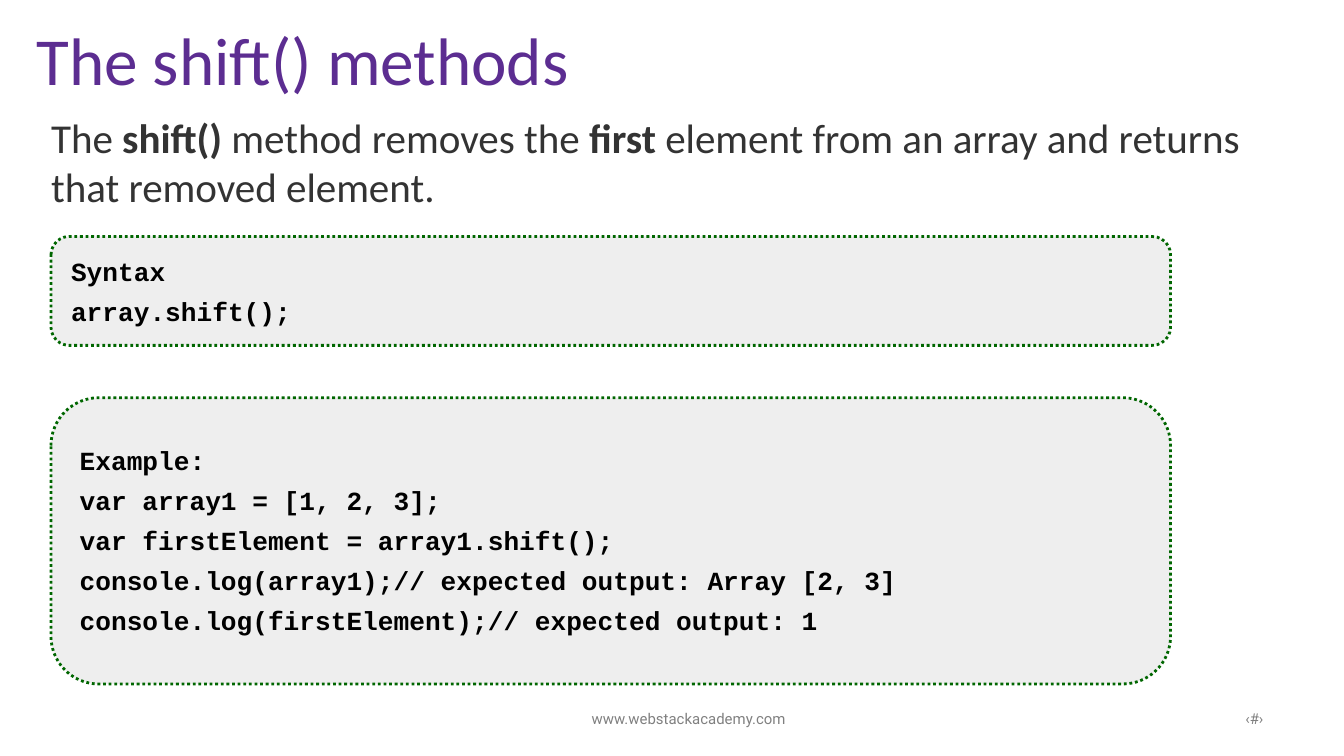
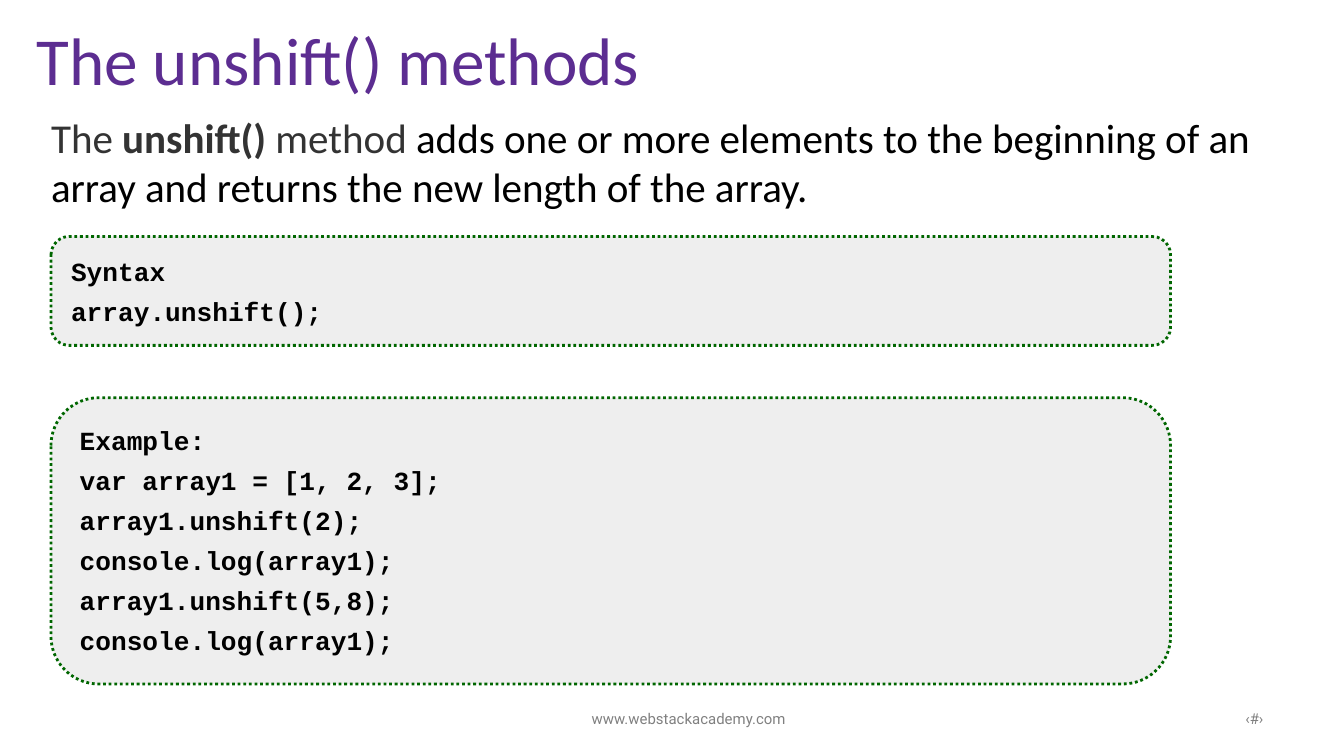
from dataclasses import dataclass

from pptx import Presentation
from pptx.dml.color import RGBColor as RGB
from pptx.enum.dml import MSO_LINE
from pptx.enum.shapes import MSO_SHAPE as SHAPE
from pptx.enum.text import MSO_ANCHOR as ANCHOR, MSO_AUTO_SIZE as AUTO, PP_ALIGN as ALIGN
from pptx.util import Inches, Pt


@dataclass(frozen=True)
class Theme:
    title: str = "5C2D91"
    lead: str = "333333"
    code: str = "000000"
    footer: str = "808080"
    panel: str = "EEEEEE"
    border: str = "006600"
    paper: str = "FFFFFF"
    text_font: str = "Calibri"
    code_font: str = "Courier New"
    footer_font: str = "Roboto"
    title_pt: int = 36
    lead_pt: int = 22
    code_pt: int = 14
    footer_pt: int = 8
    line_spacing: float = 0.93


T = Theme()

# Content: each lead line is a list of (text, bold, colour) runs
SLIDES = [
    {
        "title": "The shift() methods",
        "lead": [
            [("The ", False, T.lead), ("shift()", True, T.lead),
             (" method removes the ", False, T.lead), ("first", True, T.lead),
             (" element from an array and returns", False, T.lead)],
            [("that removed element.", False, T.lead)],
        ],
        "syntax": ["Syntax", "array.shift();"],
        "example": [
            "Example:",
            "var array1 = [1, 2, 3];",
            "var firstElement = array1.shift();",
            "console.log(array1);// expected output: Array [2, 3]",
            "console.log(firstElement);// expected output: 1",
        ],
    },
    {
        "title": "The unshift() methods",
        "lead": [
            [("The ", False, T.lead), ("unshift()", True, T.lead),
             (" method ", False, T.lead),
             ("adds one or more elements to the beginning of an", False, T.code)],
            [("array and returns the new length of the array.", False, T.code)],
        ],
        "syntax": ["Syntax", "array.unshift();"],
        "example": [
            "Example:",
            "var array1 = [1, 2, 3];",
            "array1.unshift(2);",
            "console.log(array1);",
            "array1.unshift(5,8);",
            "console.log(array1);",
        ],
    },
]
FOOTERS = [  # left edge, alignment, text
    (4, ALIGN.CENTER, "www.webstackacademy.com"),
    (7.25, ALIGN.RIGHT, "‹#›"),
]

# Layout in inches: left, top, width, height
WIDTH = 10
HEIGHT = WIDTH * 9 / 16
MARGIN = 0.38
TITLE_BOX = (0.27, -0.02, 9, 0.94)
LEAD_BOX = (MARGIN, 0.83, 9.11, 0.74)
SYNTAX_BOX = (MARGIN, 1.76, 8.33, 0.81)
EXAMPLE_BOX = (MARGIN, 2.96, 8.33, 2.13)
FOOTER_TOP, FOOTER_SIZE = 5.23, (2.25, 0.23)


def inches(box):
    return [Inches(v) for v in box]


def set_frame(tf, margins, anchor=ANCHOR.MIDDLE):
    tf.word_wrap, tf.auto_size, tf.vertical_anchor = True, AUTO.NONE, anchor
    (tf.margin_left, tf.margin_top,
     tf.margin_right, tf.margin_bottom) = inches(margins)


def set_font(font, name, size, color, bold=False):
    font.name, font.size, font.bold = name, Pt(size), bold
    font.color.rgb = RGB.from_string(color)


def fill(sp, color):
    sp.fill.solid()
    sp.fill.fore_color.rgb = RGB.from_string(color)


def paragraphs(tf, items):
    """Yield one paragraph of the frame for each item."""
    for i, item in enumerate(items):
        yield (tf.add_paragraph() if i else tf.paragraphs[0]), item


def add_title(s, text):
    sp = s.shapes.title
    sp.left, sp.top, sp.width, sp.height = inches(TITLE_BOX)
    tf = sp.text_frame
    tf.text = text
    set_frame(tf, (0, 0.04, 0, 0))
    p = tf.paragraphs[0]
    p.alignment, p.line_spacing = ALIGN.LEFT, T.line_spacing
    set_font(p.font, T.text_font, T.title_pt, T.title)


def add_lead(s, lines):
    sp = s.shapes.add_textbox(*inches(LEAD_BOX))
    fill(sp, T.paper)
    set_frame(sp.text_frame, (0, 0, 0, 0))
    for p, runs in paragraphs(sp.text_frame, lines):
        for text, bold, color in runs:
            r = p.add_run()
            r.text = text
            set_font(r.font, T.text_font, T.lead_pt, color, bold)


def add_code_panel(s, box, lines):
    sp = s.shapes.add_shape(SHAPE.ROUNDED_RECTANGLE, *inches(box))
    sp.adjustments[0] = 0.167
    sp.shadow.inherit = False
    fill(sp, T.panel)
    sp.line.color.rgb = RGB.from_string(T.border)
    sp.line.width, sp.line.dash_style = Pt(1.5), MSO_LINE.ROUND_DOT
    set_frame(sp.text_frame, (0.11, 0.08, 0.11, 0.06))
    for p, line in paragraphs(sp.text_frame, lines):
        p.text = line
        p.alignment, p.line_spacing, p.space_after = ALIGN.LEFT, T.line_spacing, Pt(5.8)
        set_font(p.font, T.code_font, T.code_pt, T.code, True)


def add_footers(s):
    for left, align, text in FOOTERS:
        sp = s.shapes.add_textbox(*inches((left, FOOTER_TOP, *FOOTER_SIZE)))
        set_frame(sp.text_frame, (0.1, 0.05, 0.1, 0.05), ANCHOR.TOP)
        p = sp.text_frame.paragraphs[0]
        p.text, p.alignment = text, align
        set_font(p.font, T.footer_font, T.footer_pt, T.footer)


def main():
    prs = Presentation()
    prs.slide_width, prs.slide_height = Inches(WIDTH), Inches(HEIGHT)
    title_only = prs.slide_layouts.get_by_name("Title Only")
    for content in SLIDES:
        s = prs.slides.add_slide(title_only)
        add_footers(s)
        add_title(s, content["title"])
        add_code_panel(s, EXAMPLE_BOX, content["example"])
        add_lead(s, content["lead"])
        add_code_panel(s, SYNTAX_BOX, content["syntax"])
    prs.save("out.pptx")


if __name__ == "__main__":
    main()
